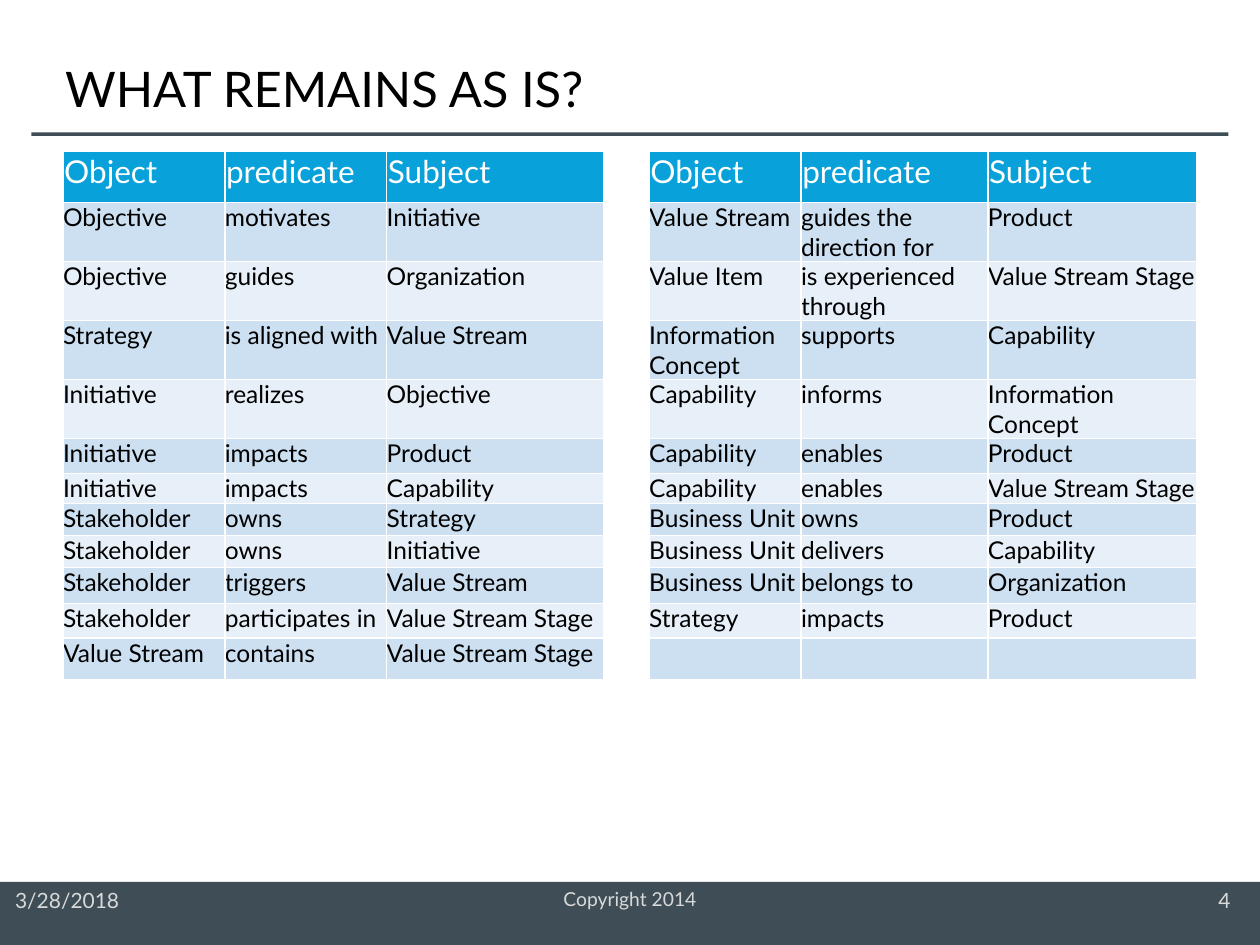
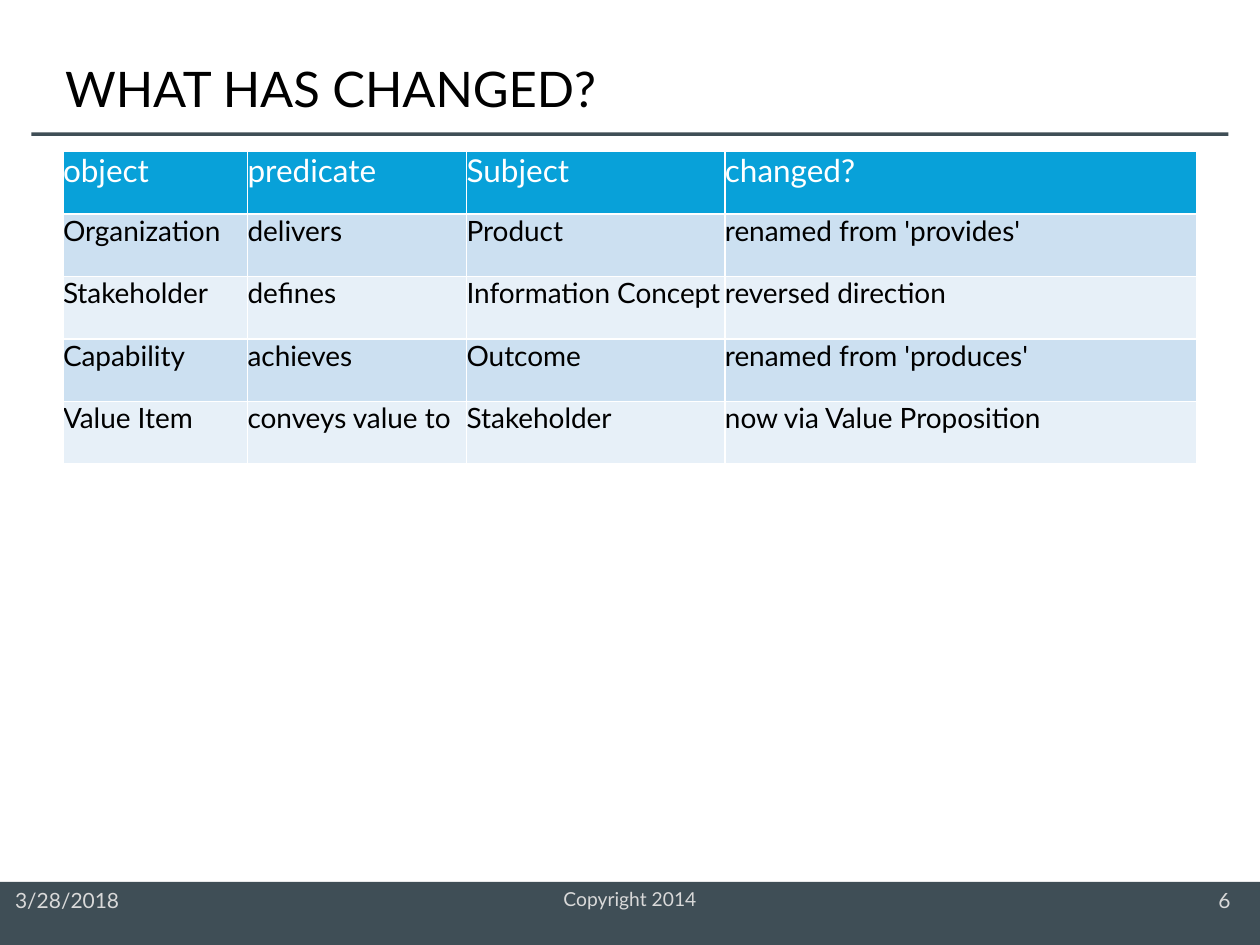
import pptx
import pptx.dml.color
import pptx.enum.shapes
import pptx.enum.text
import pptx.oxml.ns
import pptx.util
import lxml.etree

Pt = pptx.util.Pt
RGBColor = pptx.dml.color.RGBColor
Align = pptx.enum.text.PP_ALIGN
Anchor = pptx.enum.text.MSO_ANCHOR
qn = pptx.oxml.ns.qn

FONT = "Lato"
SLATE = RGBColor(0x3F, 0x4E, 0x56)
FOOTER_GREY = RGBColor(0xD9, 0xD9, 0xD9)
BLACK = RGBColor(0, 0, 0)
WHITE = RGBColor(0xFF, 0xFF, 0xFF)
HEADER_BLUE = RGBColor(0x08, 0xA1, 0xD9)
BAND_COLORS = [RGBColor(0xCC, 0xE0, 0xF1), RGBColor(0xE7, 0xF0, 0xF8)]
BARS = [(0, 504, 720, 36), (18, 75.6, 684, 2.16)]

REMAINS_ROWS = [
    ("Object", "predicate", "Subject", "", "Object", "predicate", "Subject"),
    ("Objective", "motivates", "Initiative", "", "Value Stream", "guides the direction for", "Product"),
    ("Objective", "guides", "Organization", "", "Value Item", "is experienced through", "Value Stream Stage"),
    ("Strategy", "is aligned with", "Value Stream", "", "Information Concept", "supports", "Capability"),
    ("Initiative", "realizes", "Objective", "", "Capability", "informs", "Information Concept"),
    ("Initiative", "impacts", "Product", "", "Capability", "enables", "Product"),
    ("Initiative", "impacts", "Capability", "", "Capability", "enables", "Value Stream Stage"),
    ("Stakeholder", "owns", "Strategy", "", "Business Unit", "owns", "Product"),
    ("Stakeholder", "owns", "Initiative", "", "Business Unit", "delivers", "Capability"),
    ("Stakeholder", "triggers", "Value Stream", "", "Business Unit", "belongs to", "Organization"),
    ("Stakeholder", "participates in", "Value Stream Stage", "", "Strategy", "impacts", "Product"),
    ("Value Stream", "contains", "Value Stream Stage", "", "", "", ""),
]
CHANGED_ROWS = [
    ("object", "predicate", "Subject", "changed?"),
    ("Organization", "delivers", "Product", "renamed from 'provides'"),
    ("Stakeholder", "defines", "Information Concept", "reversed direction"),
    ("Capability", "achieves", "Outcome", "renamed from 'produces'"),
    ("Value Item", "conveys value to", "Stakeholder", "now via Value Proposition"),
]
SLIDES = [
    {
        "title": "WHAT REMAINS AS IS?", "number": "4", "rows": REMAINS_ROWS,
        "widths": [92.5, 92.5, 124, 26, 86.8, 106.8, 119.4],
        "heights": [29.2] + [33.7] * 4 + [20, 17.2, 18.4, 18.2, 20.6, 19.8, 24],
        "body_size": 14, "header_inset": 0.72, "gap_column": 3,
    },
    {
        "title": "WHAT HAS CHANGED?", "number": "6", "rows": CHANGED_ROWS,
        "widths": [105.5, 125.2, 147.6, 269.7], "heights": [35.7] * 5,
        "body_size": 16, "header_inset": 0, "gap_column": None,
    },
]


def add_label(page, text, bounds, size, color, align=Align.LEFT, anchor=Anchor.TOP, inset=None):
    box = page.shapes.add_textbox(*map(Pt, bounds))
    frame = box.text_frame
    frame.word_wrap = True
    frame.vertical_anchor = anchor
    if inset is not None:
        frame.margin_left = frame.margin_right = frame.margin_top = frame.margin_bottom = Pt(inset)
    frame.text = text
    para = frame.paragraphs[0]
    para.alignment = align
    span = para.runs[0]
    span.font.name = FONT
    span.font.size = Pt(size)
    span.font.color.rgb = color


def style_cell(cell, text, size, color, fill, inset):
    cell.margin_left = cell.margin_right = cell.margin_top = Pt(inset)
    cell.margin_bottom = 0
    properties = cell._tc.get_or_add_tcPr()
    for side in ("a:lnL", "a:lnR", "a:lnT", "a:lnB"):
        line = lxml.etree.SubElement(properties, qn(side), w=str(Pt(1)))
        solid = lxml.etree.SubElement(line, qn("a:solidFill"))
        lxml.etree.SubElement(solid, qn("a:srgbClr"), val=str(WHITE))
    if fill is None:
        cell.fill.background()
    else:
        cell.fill.solid()
        cell.fill.fore_color.rgb = fill
    para = cell.text_frame.paragraphs[0]
    if not text:
        para._p.get_or_add_endParaRPr().set("sz", str(size * 100))
        return
    para.text = text
    span = para.runs[0]
    span.font.name = FONT
    span.font.size = Pt(size)
    span.font.bold = False
    span.font.color.rgb = color


deck = pptx.Presentation()
deck.slide_width = Pt(720)
deck.slide_height = Pt(540)

for content in SLIDES:
    page = deck.slides.add_slide(deck.slide_layouts[6])
    for bounds in BARS:
        bar = page.shapes.add_shape(pptx.enum.shapes.MSO_SHAPE.RECTANGLE, *map(Pt, bounds))
        bar.shadow.inherit = False
        bar.fill.solid()
        bar.fill.fore_color.rgb = SLATE
        bar.line.fill.background()

    add_label(page, "3/28/2018", (8.64, 507.2, 66, 14.4), 12, FOOTER_GREY,
              anchor=Anchor.MIDDLE, inset=0)
    add_label(page, content["number"], (692.2, 507.2, 15.1, 14.4), 12, FOOTER_GREY,
              align=Align.CENTER, anchor=Anchor.MIDDLE, inset=0)
    add_label(page, "Copyright 2014", (174, 503.3, 372, 21.6), 11, FOOTER_GREY, align=Align.CENTER)
    add_label(page, content["title"], (30.2, 28.8, 540, 43.2), 28, BLACK, anchor=Anchor.MIDDLE)

    rows, widths, heights = content["rows"], content["widths"], content["heights"]
    table = page.shapes.add_table(len(rows), len(widths), Pt(36), Pt(86.6),
                                  Pt(sum(widths)), Pt(sum(heights))).table
    table.first_row = False
    table.horz_banding = False
    for column, width in zip(table.columns, widths):
        column.width = Pt(width)
    for row_index, texts in enumerate(rows):
        table.rows[row_index].height = Pt(heights[row_index])
        if row_index == 0:
            size, color, fill, inset = 18, WHITE, HEADER_BLUE, content["header_inset"]
        else:
            size, color, fill, inset = content["body_size"], BLACK, BAND_COLORS[(row_index - 1) % 2], 0
        for column_index, text in enumerate(texts):
            cell_fill = None if column_index == content["gap_column"] else fill
            style_cell(table.cell(row_index, column_index), text, size, color, cell_fill, inset)

deck.save("out.pptx")
